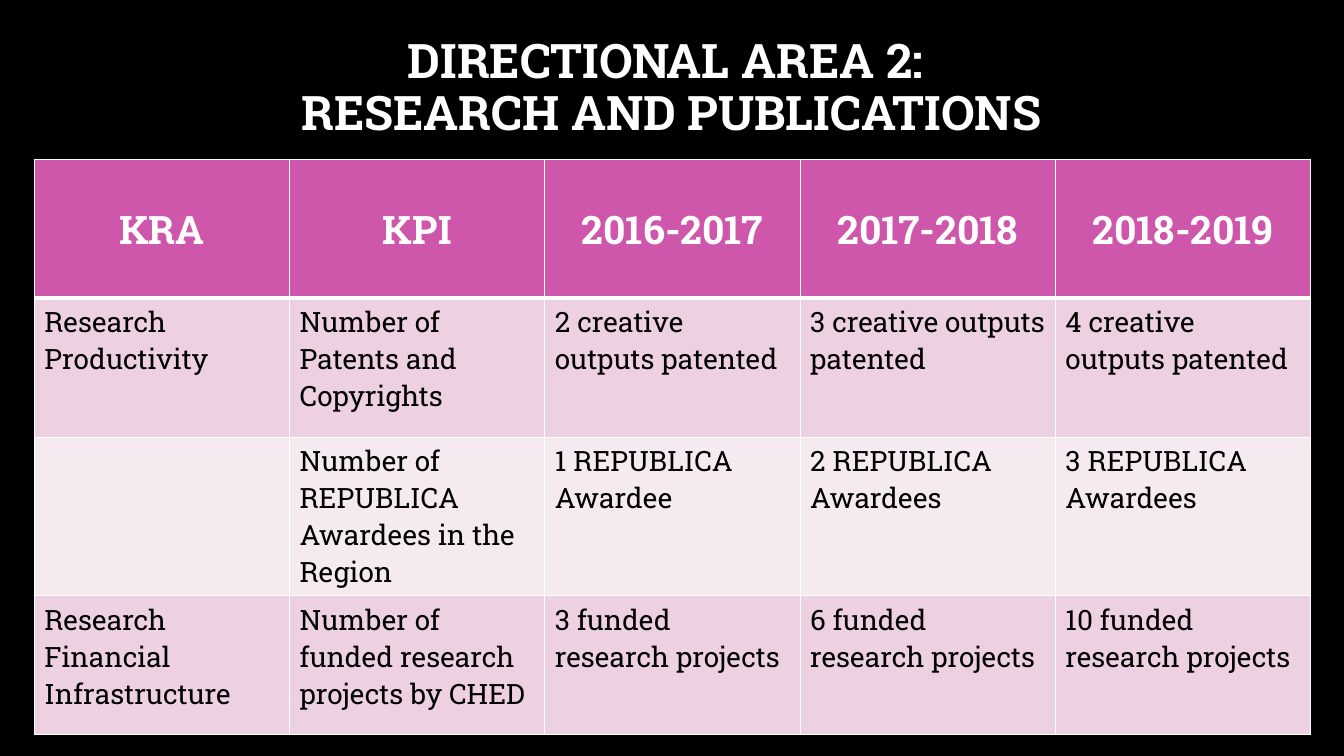
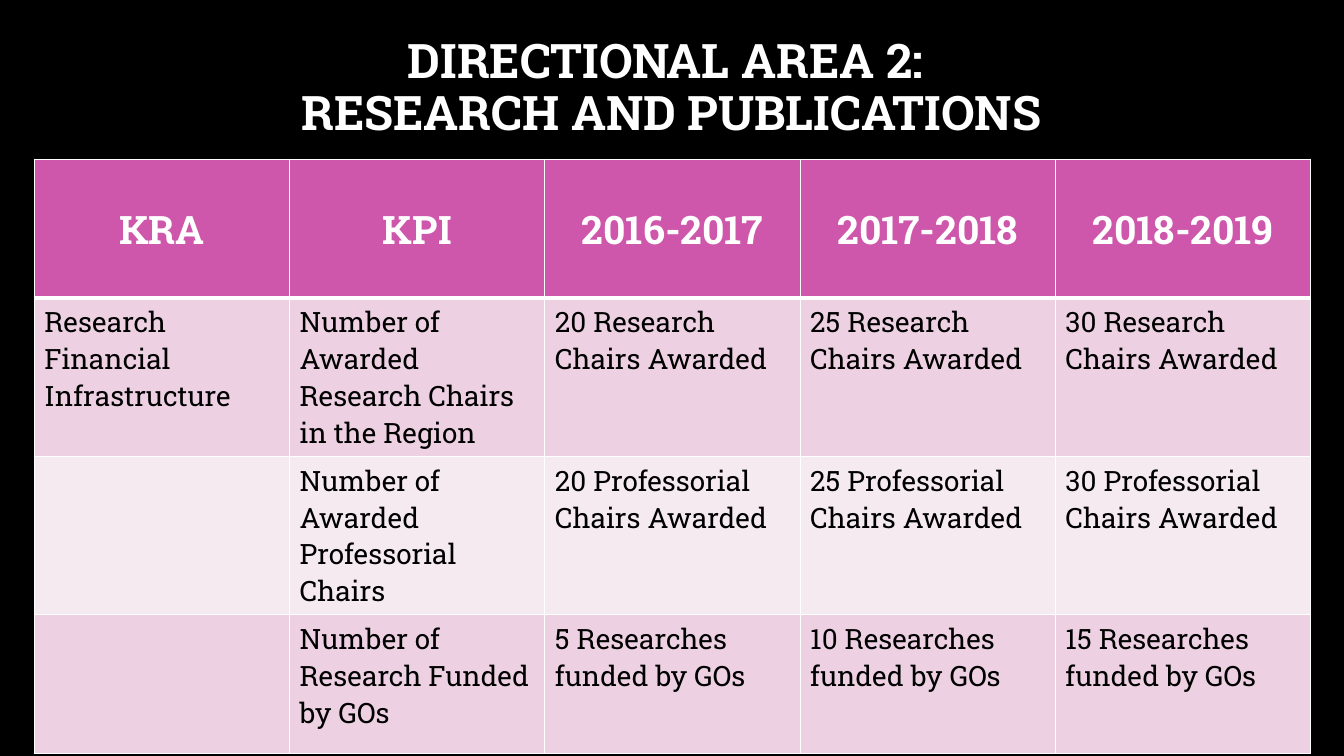
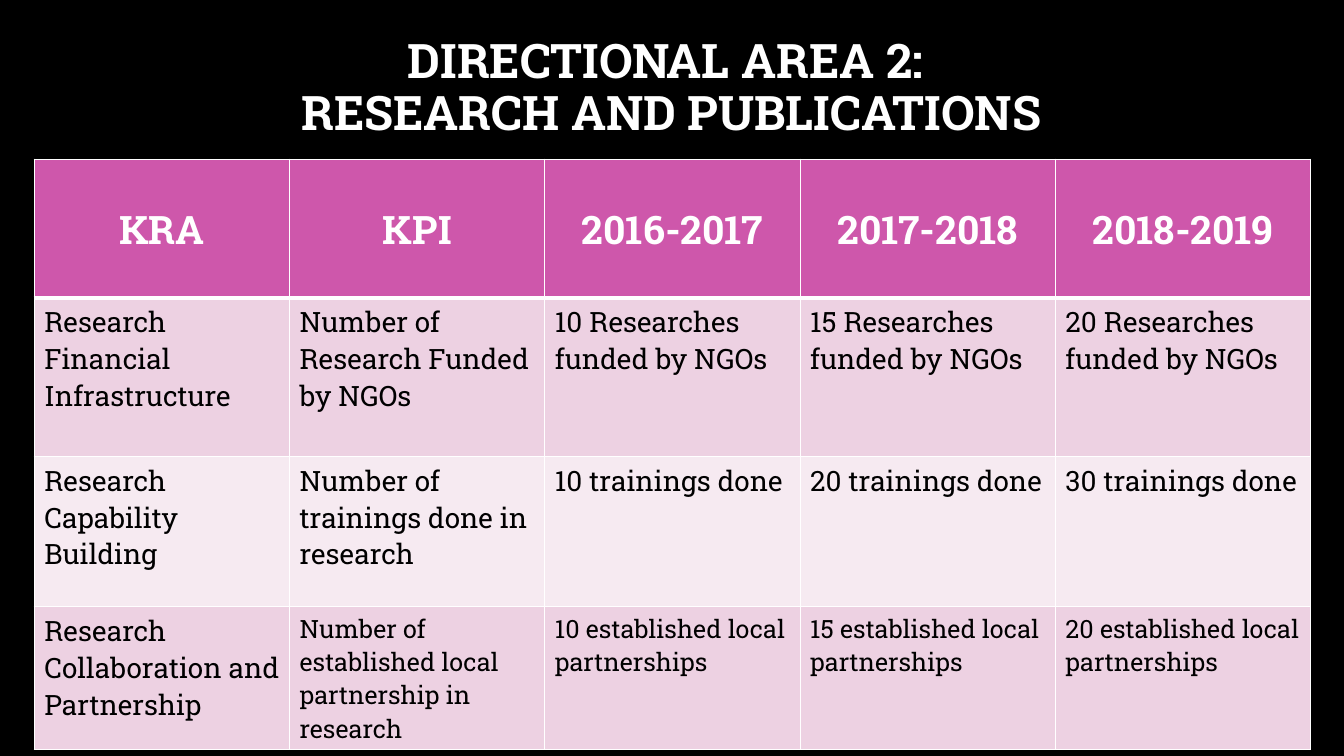
from dataclasses import dataclass

from lxml import etree
from pptx import Presentation
from pptx.dml.color import RGBColor
from pptx.enum.text import MSO_ANCHOR, PP_ALIGN
from pptx.oxml.ns import qn
from pptx.util import Inches, Pt

CENTER, LEFT = PP_ALIGN.CENTER, PP_ALIGN.LEFT
MIDDLE, TOP = MSO_ANCHOR.MIDDLE, MSO_ANCHOR.TOP


@dataclass(frozen=True)
class Theme:
    font: str = "Roboto Slab"
    background: str = "000000"
    light: str = "FFFFFF"
    dark: str = "000000"
    header: str = "CE57AB"
    bands: tuple = ("EDD1E2", "F6EAF1")
    title_size: int = 34
    header_size: int = 28
    body_size: int = 20
    small_size: int = 18
    rule: int = 1
    header_rule: int = 3


THEME = Theme()
SLIDE_W, SLIDE_H = 13.33, 7.5
TITLE_BOX = (1, 0.16, 11.32, 1.45)
TABLE_LEFT, TABLE_TOP, TABLE_W = 0.34, 1.58, 12.66
HEADER_H = 1.38

TITLE = "DIRECTIONAL AREA 2: \vRESEARCH AND PUBLICATIONS"
HEADINGS = ("KRA", "KPI", "2016-2017", "2017-2018", "2018-2019")

# Each slide is a list of rows: height, area, indicator, three yearly targets.
TARGETS = [
    [
        (1.38, "Research Productivity", "Number of Patents and Copyrights",
         "2 creative outputs patented", "3 creative outputs patented",
         "4 creative outputs patented"),
        (1.57, "", "Number of REPUBLICA Awardees in the Region",
         "1 REPUBLICA Awardee", "2 REPUBLICA Awardees", "3 REPUBLICA Awardees"),
        (1.38, "Research Financial Infrastructure",
         "Number of funded research projects by CHED",
         "3 funded research projects", "6 funded research projects",
         "10 funded research projects"),
    ],
    [
        (1.57, "Research Financial Infrastructure",
         "Number of Awarded Research Chairs in the Region",
         "20 Research Chairs Awarded", "25 Research Chairs Awarded",
         "30 Research Chairs Awarded"),
        (1.57, "", "Number of Awarded Professorial Chairs",
         "20 Professorial Chairs Awarded", "25 Professorial Chairs Awarded",
         "30 Professorial Chairs Awarded"),
        (1.38, "", "Number of Research Funded by GOs",
         "5 Researches funded by GOs", "10 Researches funded by GOs",
         "15 Researches funded by GOs"),
    ],
    [
        (1.57, "Research Financial Infrastructure",
         "Number of Research Funded by NGOs",
         "10 Researches funded by NGOs", "15 Researches funded by NGOs",
         "20 Researches funded by NGOs"),
        (1.49, "Research Capability Building",
         "Number of trainings done in research",
         "10 trainings done", "20 trainings done", "30 trainings done"),
        (1.42, "Research Collaboration and Partnership",
         "Number of established local partnership in research",
         "10 established local partnerships",
         "15 established local partnerships",
         "20 established local partnerships"),
    ],
]
SMALL_WORDING = "established local"

TITLE_FORMAT = dict(size=Pt(THEME.title_size), bold=True, color=THEME.light)
HEADER_FORMAT = dict(size=Pt(THEME.header_size), bold=True, color=THEME.light)
BODY_FORMAT = dict(size=Pt(THEME.body_size), bold=False, color=THEME.dark)
SMALL_FORMAT = BODY_FORMAT | dict(size=Pt(THEME.small_size))


def write(frame, text, text_format, align):
    frame.text = text
    paragraph = frame.paragraphs[0]
    paragraph.alignment = align
    for run in paragraph.runs:
        run.font.name = THEME.font
        for key, value in text_format.items():
            if key == "color":
                run.font.color.rgb = RGBColor.from_string(value)
            else:
                setattr(run.font, key, value)
    return paragraph


def add_title(slide):
    box = slide.shapes.add_textbox(*map(Inches, TITLE_BOX))
    box.text_frame.word_wrap = True
    box.text_frame.vertical_anchor = MIDDLE
    write(box.text_frame, TITLE, TITLE_FORMAT, CENTER).line_spacing = 0.9


def draw_borders(cell, row):
    """Draw thin rules, with a thick one between header and body."""
    widths = dict.fromkeys(("lnL", "lnR", "lnT", "lnB"), THEME.rule)
    if row < 2:
        widths["lnB" if row == 0 else "lnT"] = THEME.header_rule
    properties = cell._tc.get_or_add_tcPr()
    for side, width in widths.items():
        line = etree.SubElement(properties, qn(f"a:{side}"), w=str(Pt(width)))
        fill = etree.SubElement(line, qn("a:solidFill"))
        etree.SubElement(fill, qn("a:srgbClr"), val=THEME.light)


def fill_cell(cell, row, text):
    if row == 0:
        color, text_format, align, anchor = THEME.header, HEADER_FORMAT, CENTER, MIDDLE
    else:
        color = THEME.bands[(row - 1) % len(THEME.bands)]
        text_format = SMALL_FORMAT if SMALL_WORDING in text else BODY_FORMAT
        align, anchor = LEFT, TOP
    draw_borders(cell, row)
    cell.fill.solid()
    cell.fill.fore_color.rgb = RGBColor.from_string(color)
    cell.vertical_anchor = anchor
    write(cell.text_frame, text, text_format, align)


def add_targets(slide, targets):
    rows = [(HEADER_H, *HEADINGS), *targets]
    table = slide.shapes.add_table(
        len(rows), len(HEADINGS), Inches(TABLE_LEFT), Inches(TABLE_TOP),
        Inches(TABLE_W), Inches(sum(height for height, *_ in rows))).table
    for column in table.columns:
        column.width = Inches(TABLE_W / len(HEADINGS))
    for r, (height, *texts) in enumerate(rows):
        table.rows[r].height = Inches(height)
        for c, text in enumerate(texts):
            fill_cell(table.cell(r, c), r, text)


def main():
    deck = Presentation()
    deck.slide_width, deck.slide_height = Inches(SLIDE_W), Inches(SLIDE_H)
    backdrop = deck.slide_master.background.fill
    backdrop.solid()
    backdrop.fore_color.rgb = RGBColor.from_string(THEME.background)
    for targets in TARGETS:
        slide = deck.slides.add_slide(deck.slide_layouts[6])
        add_title(slide)
        add_targets(slide, targets)
    deck.save("out.pptx")


if __name__ == "__main__":
    main()
